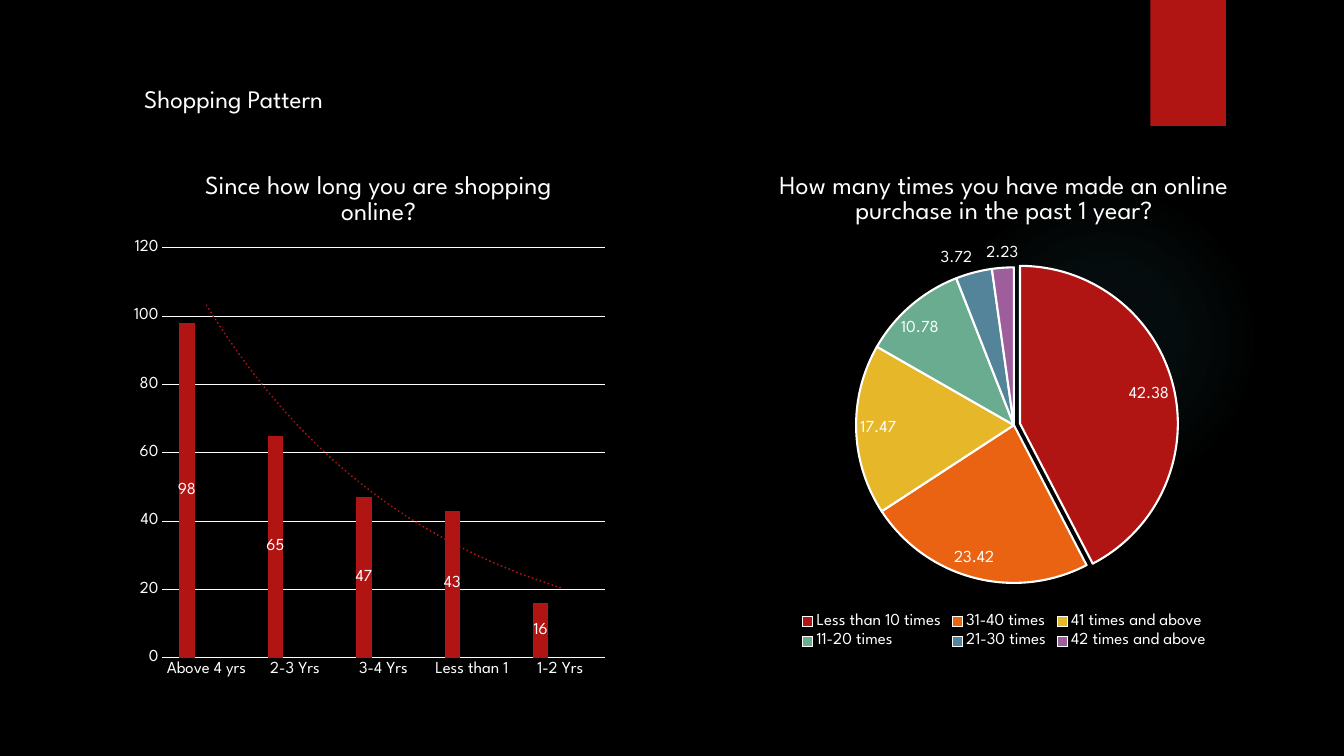
from lxml import etree
from pptx import Presentation
from pptx.chart.data import CategoryChartData
from pptx.dml.color import RGBColor
from pptx.enum.chart import XL_CHART_TYPE, XL_LABEL_POSITION, XL_LEGEND_POSITION, XL_TICK_MARK
from pptx.enum.shapes import MSO_SHAPE
from pptx.enum.text import PP_ALIGN
from pptx.oxml import parse_xml
from pptx.util import Inches, Pt

COLUMN, PIE = XL_CHART_TYPE.COLUMN_CLUSTERED, XL_CHART_TYPE.PIE
CENTER, BEST_FIT = XL_LABEL_POSITION.CENTER, XL_LABEL_POSITION.BEST_FIT
BOTTOM, NO_TICK = XL_LEGEND_POSITION.BOTTOM, XL_TICK_MARK.NONE
OVAL, RECTANGLE, LEFT = MSO_SHAPE.OVAL, MSO_SHAPE.RECTANGLE, PP_ALIGN.LEFT

FONT = "League Spartan"
BLACK, WHITE = RGBColor(0, 0, 0), RGBColor(0xFF, 0xFF, 0xFF)
RED = RGBColor(0xB0, 0x15, 0x13)
ORANGE = RGBColor(0xEA, 0x63, 0x12)
YELLOW = RGBColor(0xE6, 0xB7, 0x29)
GREEN = RGBColor(0x6A, 0xAC, 0x90)
BLUE = RGBColor(0x54, 0x84, 0x9A)
PURPLE = RGBColor(0x9E, 0x5E, 0x9B)
PALETTE = [RED, ORANGE, YELLOW, GREEN, BLUE, PURPLE]
GLOW = RGBColor(0x50, 0xB9, 0xC1)
GLOW_STOPS = [(0, 7), (36, 6), (69, 0)]

TITLE = "Shopping Pattern"
YEARS_TITLE = "Since how long you are shopping online?"
YEARS = {"Above 4 yrs": 98, "2-3 Yrs": 65, "3-4 Yrs": 47, "Less than 1": 43, "1-2 Yrs": 16}
TIMES_TITLE = "How many times you have made an online purchase in the past 1 year?"
TIMES = {
    "Less than 10 times": 42.38,
    "31-40 times": 23.42,
    "41 times and above": 17.47,
    "11-20 times": 10.78,
    "21-30 times": 3.72,
    "42 times and above": 2.23,
}

A = "http://schemas.openxmlformats.org/drawingml/2006/main"
C = "http://schemas.openxmlformats.org/drawingml/2006/chart"


def set_font(font, size):
    font.name, font.size, font.bold = FONT, Pt(size), False
    font.color.rgb = WHITE


def add_block(s, kind, box, color):
    sp = s.shapes.add_shape(kind, *map(Inches, box))
    sp.shadow.inherit = False
    sp.fill.solid()
    sp.fill.fore_color.rgb = color
    sp.line.fill.background()
    return sp


def add_glow(s, box):
    sp = add_block(s, OVAL, box, GLOW)
    stops = "".join(
        f'<a:gs pos="{pos * 1000}"><a:srgbClr val="{GLOW}">'
        f'<a:alpha val="{alpha * 1000}"/></a:srgbClr></a:gs>'
        for pos, alpha in GLOW_STOPS)
    fill = sp.element.spPr.find(f"{{{A}}}solidFill")
    fill.getparent().replace(fill, parse_xml(
        f'<a:gradFill xmlns:a="{A}"><a:gsLst>{stops}</a:gsLst><a:path path="circle">'
        '<a:fillToRect l="50000" t="50000" r="50000" b="50000"/></a:path></a:gradFill>'))


def add_tab(s, box):
    sp = add_block(s, RECTANGLE, box, RED)
    sp.element.spPr.find(f"{{{A}}}effectLst").append(parse_xml(
        f'<a:outerShdw xmlns:a="{A}" blurRad="{Pt(3)}" dist="{Pt(2)}" dir="5400000">'
        '<a:srgbClr val="000000"><a:alpha val="45000"/></a:srgbClr></a:outerShdw>'))


def add_chart(s, kind, box, cats, series, title, plot_box, label_pos):
    data = CategoryChartData()
    data.categories = cats
    for name, values in series:
        data.add_series(name, values)
    chart = s.shapes.add_chart(kind, *map(Inches, box), data).chart
    set_font(chart.font, 10)
    chart.has_title = True
    p = chart.chart_title.text_frame.paragraphs[0]
    p.text = title
    set_font(p.font, 18.6)
    for ser in chart.plots[0].series:
        labels = ser.data_labels
        labels.show_value = True
        labels.position = label_pos
        set_font(labels.font, 12)
    area = chart.element.find(f".//{{{C}}}plotArea")
    for layout in area.findall(f"{{{C}}}layout"):
        area.remove(layout)
    modes = "".join(f'<c:{k}Mode val="edge"/>' for k in "xy")
    sizes = "".join(f'<c:{k} val="{v}"/>' for k, v in zip("xywh", plot_box))
    area.insert(0, parse_xml(
        f'<c:layout xmlns:c="{C}"><c:manualLayout><c:layoutTarget val="inner"/>'
        f'{modes}{sizes}</c:manualLayout></c:layout>'))
    return chart


def add_years_chart(s):
    blank = [None] * len(YEARS)
    series = [("Series 1", YEARS.values()), ("Series 2", blank), ("Series 3", blank)]
    chart = add_chart(s, COLUMN, (1.33, 1.51, 4.81, 5.28), YEARS, series, YEARS_TITLE,
                      (0.05, 0.18, 0.92, 0.77), CENTER)
    chart.has_legend = False
    plot = chart.plots[0]
    plot.gap_width, plot.overlap, plot.vary_by_categories = 219, -27, False
    for ser, color in zip(plot.series, PALETTE):
        ser.format.fill.solid()
        ser.format.fill.fore_color.rgb = color
    for axis in (chart.category_axis, chart.value_axis):
        axis.major_tick_mark = axis.minor_tick_mark = NO_TICK
        set_font(axis.tick_labels.font, 12)
    value_axis = chart.value_axis
    value_axis.minimum_scale, value_axis.maximum_scale, value_axis.major_unit = 0, 120, 20
    value_axis.format.line.fill.background()
    for line in (chart.category_axis.format.line, value_axis.major_gridlines.format.line):
        line.color.rgb = WHITE
        line.width = Pt(0.75)
    trend = parse_xml(
        f'<c:trendline xmlns:c="{C}" xmlns:a="{A}"><c:spPr><a:ln w="{Pt(1.5)}" cap="rnd">'
        f'<a:solidFill><a:srgbClr val="{RED}"/></a:solidFill><a:prstDash val="sysDot"/>'
        '</a:ln></c:spPr><c:trendlineType val="exp"/><c:dispRSqr val="0"/>'
        '<c:dispEq val="0"/></c:trendline>')
    chart.element.find(f".//{{{C}}}ser/{{{C}}}cat").addprevious(trend)


def add_times_chart(s):
    chart = add_chart(s, PIE, (6.74, 1.51, 6.44, 4.97), TIMES, [(TIMES_TITLE, TIMES.values())],
                      TIMES_TITLE, (0.27, 0.23, 0.49, 0.63), BEST_FIT)
    chart.has_legend = True
    chart.legend.position = BOTTOM
    chart.legend.include_in_layout = False
    set_font(chart.legend.font, 12)
    plot = chart.plots[0]
    plot.vary_by_categories = True
    for i, color in enumerate(PALETTE):
        fmt = plot.series[0].points[i].format
        fmt.fill.solid()
        fmt.fill.fore_color.rgb = color
        fmt.line.color.rgb = WHITE
        fmt.line.width = Pt(1.5)
    explosion = etree.Element(f"{{{C}}}explosion", val="4")
    chart.element.find(f".//{{{C}}}dPt/{{{C}}}spPr").addprevious(explosion)


def main():
    """Build the shopping pattern slide with its two charts."""
    prs = Presentation()
    prs.slide_width, prs.slide_height = Inches(13.33), Inches(7.5)
    s = prs.slides.add_slide(prs.slide_layouts[5])
    s.background.fill.solid()
    s.background.fill.fore_color.rgb = BLACK
    add_glow(s, (9.41, 1.83, 3.08, 3.08))
    add_tab(s, (11.41, 0, 0.75, 1.25))
    title = s.shapes.title
    title.left, title.top, title.width, title.height = map(Inches, (1.33, 0.78, 2.32, 0.4))
    title.text_frame.word_wrap = False
    p = title.text_frame.paragraphs[0]
    p.text, p.alignment = TITLE, LEFT
    set_font(p.font, 18)
    add_years_chart(s)
    add_times_chart(s)
    prs.save("out.pptx")


if __name__ == "__main__":
    main()
